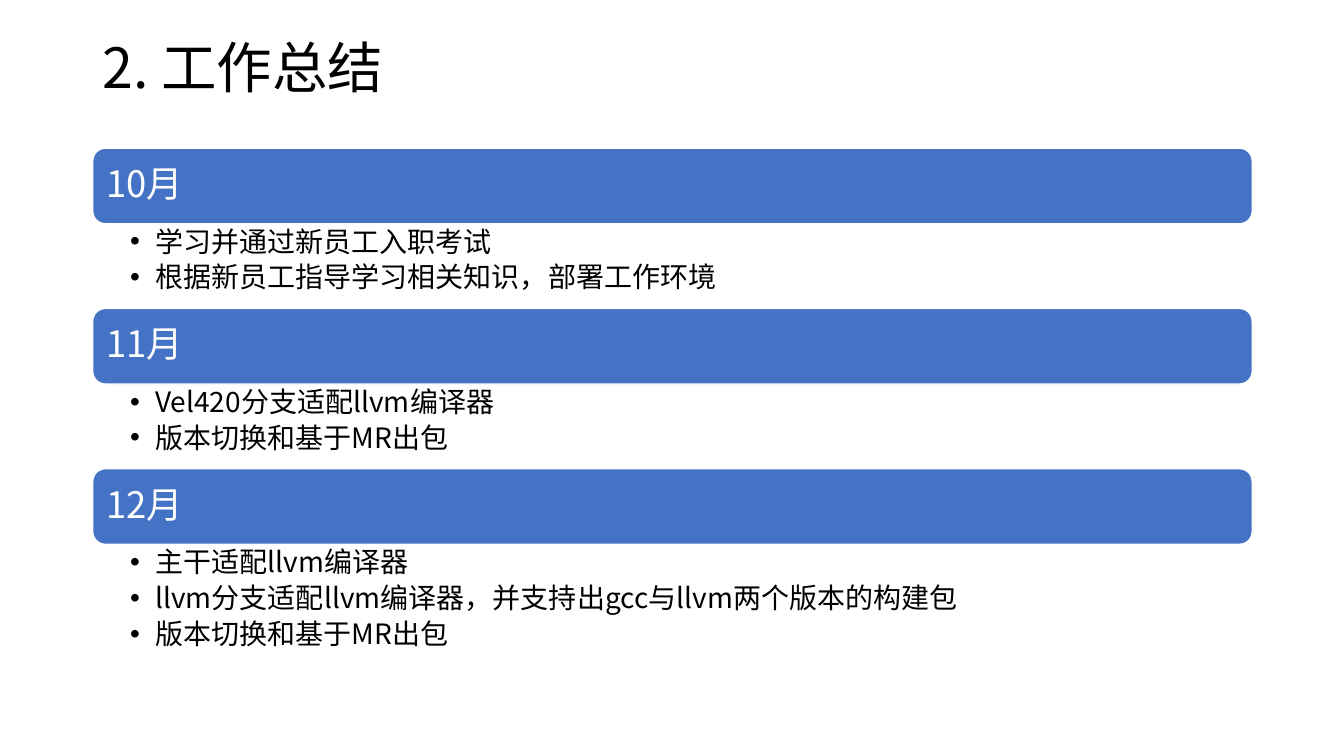
from dataclasses import dataclass

from lxml import etree
from pptx import Presentation
from pptx import util as u
from pptx.dml.color import RGBColor
from pptx.enum import shapes, text
from pptx.oxml import ns

PX = 9144


@dataclass(frozen=True)
class Theme:
    font: str = "Noto Sans CJK SC"
    ink: str = "000000"
    paper: str = "FFFFFF"
    bar: str = "4472C4"
    title: float = 39.6
    head: int = 26
    item: int = 20


def px(n):
    return u.Emu(n * PX)


def write(shape, lines, size, color, font, anchor=text.MSO_ANCHOR.MIDDLE,
          inset=(10, 5, 10, 5), after=0, bullet=None, indent=25):
    frame = shape.text_frame
    frame.word_wrap = True
    frame.auto_size = text.MSO_AUTO_SIZE.NONE
    frame.vertical_anchor = anchor
    (frame.margin_left, frame.margin_top,
     frame.margin_right, frame.margin_bottom) = map(px, inset)
    frame.text = "\n".join(lines)
    for para in frame.paragraphs:
        para.alignment = text.PP_ALIGN.LEFT
        para.line_spacing = 0.9
        para.space_before = u.Pt(0)
        para.space_after = u.Pt(after)
        if bullet:
            para.level = 1
            props = para._p.get_or_add_pPr()
            props.set("marL", str(px(indent)))
            props.set("indent", str(-px(indent)))
            etree.SubElement(props, ns.qn("a:buFont"), typeface="Arial")
            etree.SubElement(props, ns.qn("a:buChar"), char=bullet)
        for run in para.runs:
            run.font.size = u.Pt(size)
            run.font.bold = False
            run.font.name = font
            run.font.color.rgb = RGBColor.from_string(color)
            etree.SubElement(run.font._element, ns.qn("a:ea"), typeface=font)


class Deck:
    def __init__(self, theme, wide, high):
        self.theme = theme
        self.file = Presentation()
        self.file.slide_width = px(wide)
        self.file.slide_height = px(high)

    def start(self, layout):
        self.slide = self.file.slides.add_slide(self.file.slide_layouts[layout])
        self.free = [h for h in self.slide.placeholders
                     if h.placeholder_format.idx in range(1, 5)]

    def place(self, shape, box):
        shape.left, shape.top, shape.width, shape.height = map(px, box)

    def title(self, words, box):
        shape = self.slide.shapes.title
        self.place(shape, box)
        write(shape, [words], self.theme.title, self.theme.ink, self.theme.font)

    def bar(self, words, box):
        shape = self.slide.shapes.add_shape(
            shapes.MSO_SHAPE.ROUNDED_RECTANGLE, *map(px, box))
        shape.shadow.inherit = False
        shape.fill.solid()
        shape.fill.fore_color.rgb = RGBColor.from_string(self.theme.bar)
        shape.line.color.rgb = RGBColor.from_string(self.theme.paper)
        shape.line.width = u.Pt(1)
        write(shape, [words], self.theme.head, self.theme.paper,
              self.theme.font, inset=(10, 11, 10, 11))

    def list(self, lines, box):
        shape = self.free.pop(0)
        self.place(shape, box)
        write(shape, lines, self.theme.item, self.theme.ink, self.theme.font,
              anchor=text.MSO_ANCHOR.TOP, inset=(37, 4, 20, 4), after=4,
              bullet="•")

    def finish(self):
        for shape in self.slide.placeholders:
            if not shape.text_frame.text:
                shape._element.getparent().remove(shape._element)


MONTHS = {
    "10月": ["学习并通过新员工入职考试", "根据新员工指导学习相关知识，部署工作环境"],
    "11月": ["Vel420分支适配llvm编译器", "版本切换和基于MR出包"],
    "12月": ["主干适配llvm编译器",
            "llvm分支适配llvm编译器，并支持出gcc与llvm两个版本的构建包",
            "版本切换和基于MR出包"],
}


def main():
    left, wide, top, high, row = 92, 1150, 147, 75, 42
    deck = Deck(Theme(), 1333, 750)
    deck.start(4)
    deck.title("2. 工作总结", (left, 40, wide, 59))
    for month, items in MONTHS.items():
        deck.bar(month, (left, top, wide, high))
        deck.list(items, (left, top + high, wide, row * len(items)))
        top += high + row * len(items)
    deck.finish()
    deck.file.save("out.pptx")


if __name__ == "__main__":
    main()
